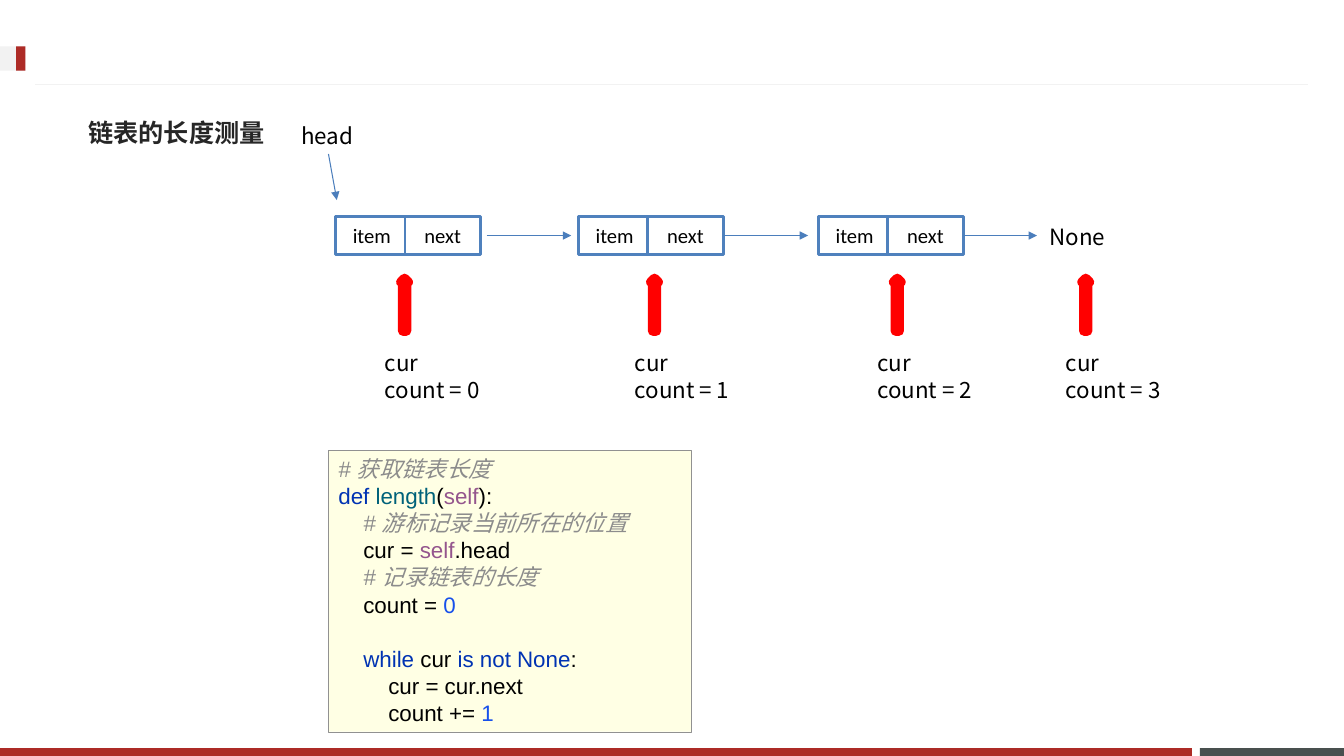
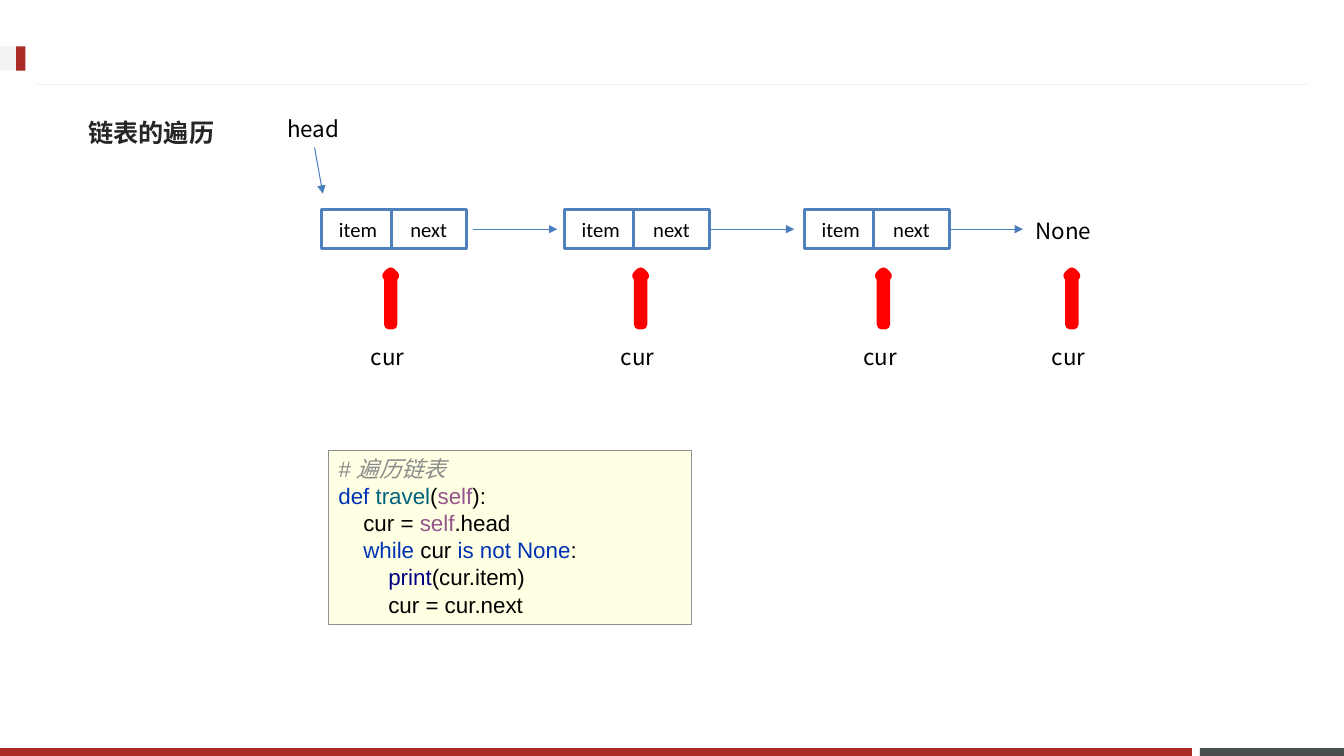
from lxml import etree
from pptx import Presentation
from pptx.dml.color import RGBColor
from pptx.enum.shapes import MSO_CONNECTOR, MSO_SHAPE
from pptx.enum.text import MSO_ANCHOR, MSO_AUTO_SIZE, PP_ALIGN
from pptx.oxml.ns import qn
from pptx.util import Cm, Pt

RECT, UP_ARROW = MSO_SHAPE.RECTANGLE, MSO_SHAPE.UP_ARROW
STRAIGHT = MSO_CONNECTOR.STRAIGHT
TOP, MIDDLE = MSO_ANCHOR.TOP, MSO_ANCHOR.MIDDLE
LEFT, CENTER = PP_ALIGN.LEFT, PP_ALIGN.CENTER
GROW = MSO_AUTO_SIZE.SHAPE_TO_FIT_TEXT
RIGHT_SIDE = 3

COLORS = {
    "red": "AD2B26", "slate": "49504F", "pale": "F2F2F2",
    "title": "262626", "white": "FFFFFF", "black": "000000",
    "node": "4F81BD", "link": "4B7EBC", "pointer": "FF0000",
    "code_fill": "FFFFE4", "code_line": "919191",
    # Syntax colours
    "comment": "8C8C8C", "keyword": "0033B3", "function": "00627A",
    "self": "94558D", "number": "1750EB", "builtin": "000080",
}
LABEL_FONT, TITLE_FONT = "Noto Sans CJK SC", "Noto Sans CJK JP"
NODE_FONT, CODE_FONT = "Calibri", "Arial"
LINE_PITCH = Pt(19.3)

# Chain layout in cm, measured from the top left of the first node
NODE_OFFSETS = (0, 6.12, 12.17)
ITEM_WIDTH, NEXT_OFFSET, NEXT_WIDTH, NODE_HEIGHT = 1.83, 1.75, 1.9, 0.97
POINTER_OFFSETS = (1.74, 8.04, 14.16, 18.91)
POINTER_WIDTH, POINTER_HEIGHT = 0.18, 1.32

# Code lines: (indent level, blank lines before, [(text, syntax colour), ...])
DEF, WHILE = ("def ", "keyword"), ("while ", "keyword")
SELF, PARAMS_END = ("self", "self"), ("):", "black")
START_LINE = (1, 0, [("cur = ", "black"), SELF, (".head", "black")])
ADVANCE_LINE = (2, 0, [("cur = cur.next", "black")])
LOOP = [WHILE, ("cur ", "black"), ("is not None", "keyword"), (":", "black")]
LENGTH_CODE = [
    (0, 0, [("# 获取链表长度", "comment")]),
    (0, 0, [DEF, ("length", "function"), ("(", "black"), SELF, PARAMS_END]),
    (1, 0, [("# 游标记录当前所在的位置", "comment")]),
    START_LINE,
    (1, 0, [("# 记录链表的长度", "comment")]),
    (1, 0, [("count = ", "black"), ("0", "number")]),
    (1, 1, LOOP),
    ADVANCE_LINE,
    (2, 0, [("count += ", "black"), ("1", "number")]),
]
TRAVEL_CODE = [
    (0, 0, [("# 遍历链表", "comment")]),
    (0, 0, [DEF, ("travel", "function"), ("(", "black"), SELF, PARAMS_END]),
    START_LINE,
    (1, 0, LOOP),
    (2, 0, [("print", "builtin"), ("(cur.item)", "black")]),
    ADVANCE_LINE,
]


def color(name):
    return RGBColor.from_string(COLORS[name])


def add_block(slide, x, y, width, height, fill=None, line=None, weight=0, kind=RECT):
    block = slide.shapes.add_shape(kind, Cm(x), Cm(y), Cm(width), Cm(height))
    block.shadow.inherit = False
    if fill:
        block.fill.solid()
        block.fill.fore_color.rgb = color(fill)
    else:
        block.fill.background()
    if line:
        block.line.color.rgb = color(line)
        block.line.width = Pt(weight)
    else:
        block.line.fill.background()
    return block


def add_line(slide, start, end, line, arrow=False):
    connector = slide.shapes.add_connector(STRAIGHT, *map(Cm, start + end))
    connector.line.color.rgb = color(line)
    connector.line.width = Pt(0.75)
    if arrow:
        outline = connector.line._get_or_add_ln()
        etree.SubElement(outline, qn("a:tailEnd"), type="triangle")
    etree.SubElement(connector.element.spPr, qn("a:effectLst"))
    return connector


def style_paragraph(paragraph, font, size, ink, align=LEFT, pitch=None):
    paragraph.alignment = align
    if pitch:
        paragraph.line_spacing = pitch
    paragraph.font.name = font
    paragraph.font.size = Pt(size)
    paragraph.font.color.rgb = color(ink)


def add_label(slide, x, y, width, lines):
    label = slide.shapes.add_textbox(Cm(x), Cm(y), Cm(width), Cm(0.25 + 0.69 * len(lines)))
    frame = label.text_frame
    frame.word_wrap = False
    frame.auto_size = GROW
    frame.text = "\n".join(lines)
    for paragraph in frame.paragraphs:
        style_paragraph(paragraph, LABEL_FONT, 16, "black", pitch=LINE_PITCH)


def add_title(slide, text):
    frame = slide.shapes.add_textbox(Cm(1.98), Cm(2.62), Cm(29.87), Cm(1.45)).text_frame
    frame.word_wrap = True
    frame.vertical_anchor = MIDDLE
    frame.text = text
    paragraph = frame.paragraphs[0]
    style_paragraph(paragraph, TITLE_FONT, 18, "title")
    paragraph.font.bold = True
    defaults = paragraph._p.find(qn("a:pPr")).find(qn("a:defRPr"))
    etree.SubElement(defaults, qn("a:ea"), typeface=TITLE_FONT)


def add_node(slide, x, y):
    """Draw an item/next pair and return its next cell."""
    for text, left, width in (("item", x, ITEM_WIDTH), ("next", x + NEXT_OFFSET, NEXT_WIDTH)):
        cell = add_block(slide, left, y, width, NODE_HEIGHT, "white", "node", 2)
        cell.text_frame.text = text
        cell.text_frame.vertical_anchor = MIDDLE
        style_paragraph(cell.text_frame.paragraphs[0], NODE_FONT, 14.7, "black", CENTER)
    return cell


def add_chain(slide, x, y, captions):
    # Head label and its arrow
    add_label(slide, x - 1.12, y - 2.51, 1.88, ["head"])
    add_line(slide, (x - 0.18, y - 1.57), (x + 0.03, y - 0.41), "link", True)

    # Nodes, links and the closing None
    next_cells = [add_node(slide, x + offset, y) for offset in NODE_OFFSETS]
    middle = y + NODE_HEIGHT / 2
    add_line(slide, (x + 3.81, middle), (x + 5.94, middle), "link", True)
    for next_cell, link_end in zip(next_cells[1:], (11.91, 17.68)):
        link = add_line(slide, (x, middle), (x + link_end, middle), "link", True)
        link.begin_connect(next_cell, RIGHT_SIDE)
    add_label(slide, x + 17.75, y + 0.05, 2.01, ["None"])

    # Cursor positions
    for offset, caption in zip(POINTER_OFFSETS, captions):
        center = x + offset
        add_block(slide, center - POINTER_WIDTH / 2, y + 1.57, POINTER_WIDTH,
                  POINTER_HEIGHT, line="pointer", weight=7, kind=UP_ARROW)
        width = 1.37 if len(caption) == 1 else 3.18
        add_label(slide, center - 0.75, y + 3.23, width, caption)


def add_code(slide, height, code):
    panel = add_block(slide, 8.28, 11.35, 9.14, height, "code_fill", "code_line", 0.25)
    frame = panel.text_frame
    frame.word_wrap = True
    frame.vertical_anchor = TOP
    for number, (level, blanks, parts) in enumerate(code):
        paragraph = frame.add_paragraph() if number else frame.paragraphs[0]
        style_paragraph(paragraph, CODE_FONT, 16, "black", pitch=LINE_PITCH)
        paragraph.space_before = LINE_PITCH * blanks
        paragraph._p.get_or_add_pPr().set("marL", str(Cm(0.63 * level)))
        for text, syntax in parts:
            run = paragraph.add_run()
            run.text = text
            run.font.color.rgb = color(syntax)
            run.font.italic = syntax == "comment"


def move_frame_to_layout(slide):
    """Draw the shared bands and rule, then hand them to the slide's layout."""
    layout = slide.slide_layout
    for placeholder in list(layout.placeholders):
        layout.shapes.element.remove(placeholder.element)
    parts = [
        add_block(slide, 30.25, 18.85, 3.63, 0.2, "slate"),
        add_block(slide, 0, 18.85, 30.05, 0.2, "red"),
        add_line(slide, (32.97, 2.13), (0.89, 2.13), "pale"),
        add_block(slide, 0, 1.17, 0.64, 0.61, "pale"),
        add_block(slide, 0.41, 1.17, 0.23, 0.61, "red"),
    ]
    for part in parts:
        layout.shapes.element.append(part.element)


def main():
    deck = Presentation()
    deck.slide_width, deck.slide_height = Cm(33.88), Cm(19.05)
    blank = deck.slide_layouts[6]

    # Length of the list
    length = deck.slides.add_slide(blank)
    move_frame_to_layout(length)
    add_chain(length, 8.46, 5.45, [["cur", f"count = {count}"] for count in range(4)])
    add_title(length, "链表的长度测量")
    add_code(length, 7.09, LENGTH_CODE)

    # Traversal of the list
    travel = deck.slides.add_slide(blank)
    add_chain(travel, 8.11, 5.29, [["cur"]] * 4)
    add_title(travel, "链表的遍历")
    add_code(travel, 4.37, TRAVEL_CODE)

    deck.save("out.pptx")


if __name__ == "__main__":
    main()
